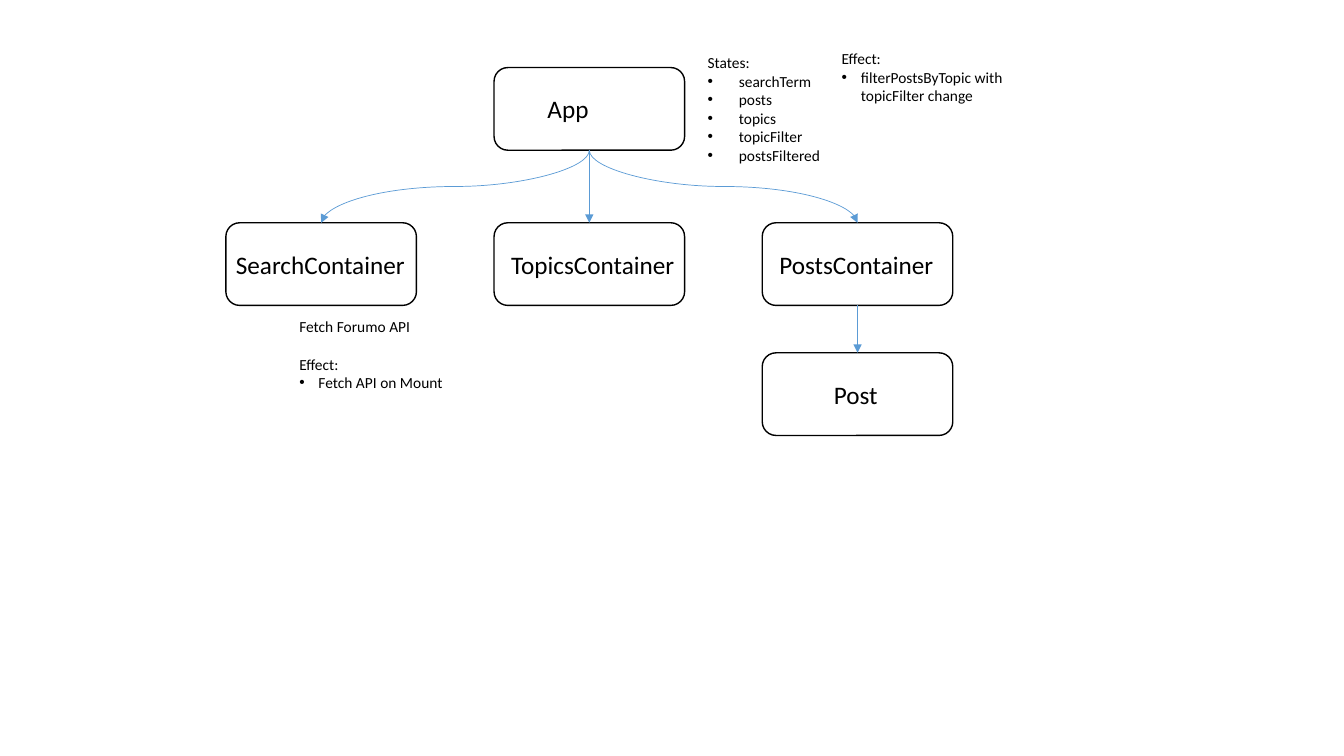
"""Build a slide with a component tree: an app, its containers and their notes."""
from pptx import Presentation
from pptx.dml.color import RGBColor
from pptx.enum.shapes import MSO_CONNECTOR, MSO_SHAPE
from pptx.enum.text import MSO_ANCHOR, PP_ALIGN
from pptx.oxml.ns import qn
from pptx.util import Inches, Pt
from lxml import etree

CURVE = MSO_CONNECTOR.CURVE
ROUNDED = MSO_SHAPE.ROUNDED_RECTANGLE
MIDDLE = MSO_ANCHOR.MIDDLE
LEFT = PP_ALIGN.LEFT

WHITE = RGBColor(0xFF, 0xFF, 0xFF)
BLACK = RGBColor(0x00, 0x00, 0x00)
BLUE = RGBColor(0x5B, 0x9B, 0xD5)

FONT = "Calibri"
BOX_WIDTH, BOX_HEIGHT = Inches(1.89), Inches(0.82)
COLUMNS = [Inches(2.24 + 2.66 * column) for column in range(3)]
ROWS = [Inches(0.67), Inches(2.21), Inches(3.5)]
TOP_SITE, BOTTOM_SITE = 0, 2


def set_font(paragraph, size):
    """Apply the slide's font to a paragraph."""
    paragraph.font.name = FONT
    paragraph.font.size = Pt(size)
    paragraph.font.color.rgb = BLACK


def add_component(slide, name, column, row, inset):
    """Add a rounded box whose name starts at the given inset."""
    shape = slide.shapes.add_shape(ROUNDED, COLUMNS[column], ROWS[row], BOX_WIDTH, BOX_HEIGHT)
    shape.shadow.inherit = False
    shape.fill.solid()
    shape.fill.fore_color.rgb = WHITE
    shape.line.color.rgb = BLACK
    shape.line.width = Pt(1)
    frame = shape.text_frame
    frame.vertical_anchor = MIDDLE
    frame.margin_left, frame.margin_right = Inches(inset), 0
    paragraph = frame.paragraphs[0]
    paragraph.text = name
    paragraph.alignment = LEFT
    set_font(paragraph, 18)
    return shape


def add_arrow(slide, parent, child):
    """Connect the bottom of a parent to the top of a child with a curve."""
    start_x, start_y = parent.left + parent.width // 2, parent.top + parent.height
    end_x, end_y = child.left + child.width // 2, child.top
    connector = slide.shapes.add_connector(CURVE, start_x, start_y, end_x, end_y)
    connector.begin_connect(parent, BOTTOM_SITE)
    connector.end_connect(child, TOP_SITE)
    drop, spread = end_y - start_y, abs(end_x - start_x)
    connector.left = (start_x + end_x - drop) // 2
    connector.top = (start_y + end_y - spread) // 2
    connector.width, connector.height = drop, spread
    goes_right = end_x > start_x
    properties = connector._element.spPr
    transform = properties.find(qn("a:xfrm"))
    transform.set("rot", str((270 if goes_right else 90) * 60000))
    transform.set("flipH", "1" if goes_right else "0")
    connector.line.color.rgb = BLUE
    connector.line.width = Pt(0.5)
    line = properties.find(qn("a:ln"))
    etree.SubElement(line, qn("a:tailEnd"), type="triangle")
    etree.SubElement(properties, qn("a:effectLst"))


def add_bullet(paragraph, indent):
    """Give a paragraph a bullet with a hanging indent."""
    properties = paragraph._p.get_or_add_pPr()
    properties.set("marL", str(Inches(indent)))
    properties.set("indent", str(-Inches(indent)))
    bullet = etree.Element(qn("a:buChar"), char="•")
    font = etree.Element(qn("a:buFont"), typeface="Arial")
    properties.extend([font, bullet])


def add_note(slide, left, top, height, heading, items, indent=0.19, intro=None):
    """Add a small text box: an optional intro, a heading and bulleted items."""
    box = slide.shapes.add_textbox(Inches(left), Inches(top), Inches(1.83), Inches(height))
    frame = box.text_frame
    frame.word_wrap = True
    headings = [intro, heading] if intro else [heading]
    for index, text in enumerate(headings + items):
        paragraph = frame.paragraphs[0] if index == 0 else frame.add_paragraph()
        paragraph.text = text
        set_font(paragraph, 11)
        if intro and text == heading:
            paragraph.space_before = Pt(13.4)
        if index >= len(headings):
            add_bullet(paragraph, indent)


def main():
    """Build and save the slide."""
    presentation = Presentation()
    presentation.slide_width, presentation.slide_height = Inches(13.33), Inches(7.5)
    slide = presentation.slides.add_slide(presentation.slide_layouts[6])

    app = add_component(slide, "App", 1, 0, 0.49)
    search = add_component(slide, "SearchContainer", 0, 1, 0.06)
    topics = add_component(slide, "TopicsContainer", 1, 1, 0.13)
    posts = add_component(slide, "PostsContainer", 2, 1, 0.13)
    post = add_component(slide, "Post", 2, 2, 0.67)

    for container in (search, topics, posts):
        add_arrow(slide, app, container)
    add_arrow(slide, posts, post)

    states = ["searchTerm", "posts", "topics", "topicFilter", "postsFiltered"]
    add_note(slide, 6.92, 0.48, 1.21, "States:", states, indent=0.31)
    add_note(slide, 8.25, 0.44, 0.66, "Effect:", ["filterPostsByTopic with topicFilter change"])
    add_note(slide, 2.87, 3.1, 0.84, "Effect:", ["Fetch API on Mount"], intro="Fetch Forumo API")

    presentation.save("out.pptx")


main()
